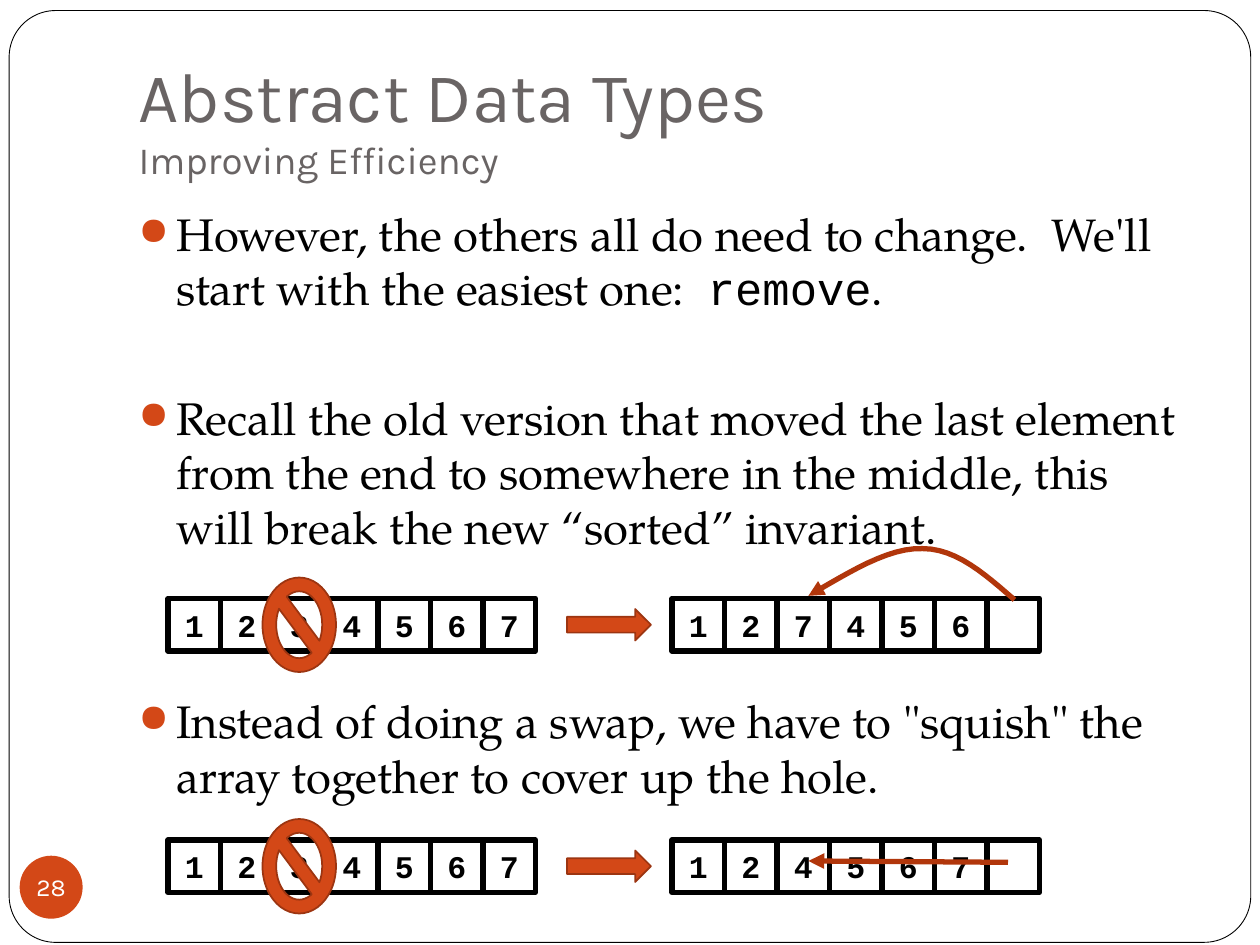
"""Build the slide on removing an element from a sorted array."""
from dataclasses import dataclass
from typing import Optional

from lxml.etree import SubElement
from pptx import Presentation
from pptx.dml.color import RGBColor
from pptx.enum.shapes import MSO_CONNECTOR, MSO_SHAPE as Shape
from pptx.enum.text import MSO_ANCHOR as Anchor, MSO_AUTO_SIZE as AutoSize, PP_ALIGN as Align
from pptx.oxml.ns import qn
from pptx.util import Pt

PX = 9525
CELL = 40
CURVE_STEPS = 12
TITLE_FONT, BODY_FONT, CODE_FONT = "Karla", "TeX Gyre Pagella", "Courier New"
BLACK = RGBColor(0x00, 0x00, 0x00)
WHITE = RGBColor(0xFF, 0xFF, 0xFF)
GREY = RGBColor(0x69, 0x64, 0x64)
ORANGE = RGBColor(0xD3, 0x48, 0x17)
RUST = RGBColor(0x9C, 0x35, 0x11)
ARROW_RED = RGBColor(0xB1, 0x36, 0x0B)


@dataclass(frozen=True)
class Box:
    left: int
    top: int
    width: int
    height: int

    def emu(self) -> tuple:
        return tuple(n * PX for n in (self.left, self.top, self.width, self.height))


@dataclass(frozen=True)
class Bullet:
    spans: tuple
    space_before: float


@dataclass(frozen=True)
class ArrayRow:
    top: int
    after: str
    curved: bool


BULLETS = (
    Bullet((("However, the others all do need to change.  We'll start with the easiest one:  ", BODY_FONT),
            ("remove", CODE_FONT), (".", BODY_FONT)), 5.8),
    Bullet((("Recall the old version that moved the last element from the end to somewhere "
             "in the middle, this will break the new “sorted” invariant.", BODY_FONT),), 42.8),
    Bullet((('Instead of doing a swap, we have to "squish" the array together '
             "to cover up the hole.", BODY_FONT),), 79.8),
)
ROWS = (ArrayRow(456, "127456 ", True), ArrayRow(640, "124567 ", False))


def style_span(span, font: str, size: int, color: RGBColor, bold: bool = False) -> None:
    """Format one run of text."""
    span.font.name, span.font.size, span.font.bold = font, Pt(size), bold
    span.font.color.rgb = color


def add_box(shapes, kind, box: Box, fill: Optional[RGBColor] = None,
            line: Optional[RGBColor] = None, weight: float = 1):
    """Add a preset shape without a shadow."""
    shape = shapes.add_shape(kind, *box.emu())
    shape.shadow.inherit = False
    if fill is None:
        shape.fill.background()
    else:
        shape.fill.solid()
        shape.fill.fore_color.rgb = fill
    if line is None:
        shape.line.fill.background()
    else:
        shape.line.color.rgb = line
        shape.line.width = Pt(weight)
    return shape


def add_label(shape, text: str, font: str, size: int, color: RGBColor, bold: bool) -> None:
    """Centre a one-line label in a shape."""
    frame = shape.text_frame
    frame.vertical_anchor = Anchor.MIDDLE
    frame.text = text
    para = frame.paragraphs[0]
    para.alignment = Align.CENTER
    style_span(para.runs[0], font, size, color, bold)


def add_array(shapes, left: int, top: int, values: str) -> None:
    """Draw a row of adjoining cells, one per value."""
    for index, value in enumerate(values):
        cell = add_box(shapes, Shape.RECTANGLE, Box(left + index * CELL, top, CELL, CELL), None, BLACK, 3)
        if value.strip():
            add_label(cell, value, CODE_FONT, 18, BLACK, True)


def style_arrow(arrow) -> None:
    """Give a line its colour, weight and arrowhead."""
    arrow.line.color.rgb = ARROW_RED
    arrow.line.width = Pt(3)
    SubElement(arrow.element.spPr.find(qn("a:ln")), qn("a:tailEnd"), type="triangle")


def bezier(points: tuple) -> list:
    """Sample a cubic curve, leaving out its first point."""
    samples = []
    for step in range(1, CURVE_STEPS + 1):
        t = step / CURVE_STEPS
        weights = ((1 - t) ** 3, 3 * t * (1 - t) ** 2, 3 * t * t * (1 - t), t ** 3)
        samples.append(tuple(round(PX * sum(w * p[axis] for w, p in zip(weights, points)))
                             for axis in (0, 1)))
    return samples


def add_curved_arrow(shapes, top: int) -> None:
    """Arch an arrow from the last cell to the hole."""
    start, peak, end = (773, top + 1), (703, top - 38), (616, top - 2)
    builder = shapes.build_freeform(start[0] * PX, start[1] * PX)
    builder.add_line_segments(
        bezier((start, (751, top - 18), (729, top - 38), peak))
        + bezier((peak, (677, top - 39), (647, top - 20), end)), close=False)
    arrow = builder.convert_to_shape()
    arrow.shadow.inherit = False
    arrow.fill.background()
    style_arrow(arrow)


def add_straight_arrow(shapes, top: int) -> None:
    """Run an arrow through the cells that shift left."""
    arrow = shapes.add_connector(MSO_CONNECTOR.STRAIGHT, 768 * PX, (top + 17) * PX,
                                 616 * PX, (top + 16) * PX)
    style_arrow(arrow)
    SubElement(arrow.element.spPr, qn("a:effectLst"))


def add_row(page, row: ArrayRow) -> None:
    """Draw the array before and after a removal."""
    shapes = page.shapes.add_group_shape().shapes
    add_array(shapes, 128, row.top, "1234567")
    add_array(shapes, 512, row.top, row.after)
    add_box(shapes, Shape.RIGHT_ARROW, Box(432, row.top + 8, 64, 24), ORANGE, RUST)
    add_box(shapes, Shape.NO_SYMBOL, Box(200, row.top - 16, 56, 72), ORANGE, RUST)
    draw_arrow = add_curved_arrow if row.curved else add_straight_arrow
    draw_arrow(shapes, row.top)


def format_title(title) -> None:
    """Place and format the title with its subtitle line."""
    title.left, title.top, title.width, title.height = Box(96, 29, 816, 120).emu()
    frame = title.text_frame
    frame.text = "Abstract Data Types\vImproving Efficiency"
    frame.auto_size, frame.vertical_anchor = AutoSize.NONE, Anchor.BOTTOM
    frame.margin_bottom = 10 * PX
    para = frame.paragraphs[0]
    para.alignment = Align.LEFT
    for span, size in zip(para.runs, (40, 22)):
        style_span(span, TITLE_FONT, size, GREY)


def add_bullets(page) -> None:
    """Add the body text with its hanging round bullets."""
    frame = page.shapes.add_textbox(*Box(96, 152, 816, 480).emu()).text_frame
    frame.word_wrap = True
    for index, bullet in enumerate(BULLETS):
        para = frame.add_paragraph() if index else frame.paragraphs[0]
        para.space_before = Pt(bullet.space_before)
        for text, font in bullet.spans:
            span = para.add_run()
            span.text = text
            style_span(span, font, 26, BLACK)
        props = para._p.get_or_add_pPr()
        props.set("marL", str(29 * PX))
        props.set("indent", str(-29 * PX))
        SubElement(SubElement(props, qn("a:buClr")), qn("a:srgbClr"), val=str(ORANGE))
        SubElement(props, qn("a:buSzPct"), val="85000")
        SubElement(props, qn("a:buChar"), char="●")


def main() -> None:
    """Assemble and save the deck."""
    deck = Presentation()
    deck.slide_width, deck.slide_height = 960 * PX, 720 * PX
    page = deck.slides.add_slide(deck.slide_layouts[5])
    title = page.shapes.title
    border = add_box(page.shapes, Shape.ROUNDED_RECTANGLE, Box(7, 8, 946, 710), WHITE, BLACK, 0.5)
    border.adjustments[0] = 0.05
    title.element.addprevious(border.element)
    format_title(title)
    add_bullets(page)
    for row in ROWS:
        add_row(page, row)
    badge = add_box(page.shapes, Shape.OVAL, Box(15, 652, 48, 48), ORANGE)
    frame = badge.text_frame
    frame.margin_left = frame.margin_right = frame.margin_top = frame.margin_bottom = 0
    frame.word_wrap = False
    add_label(badge, "28", TITLE_FONT, 14, WHITE, False)
    deck.save("out.pptx")


if __name__ == "__main__":
    main()
